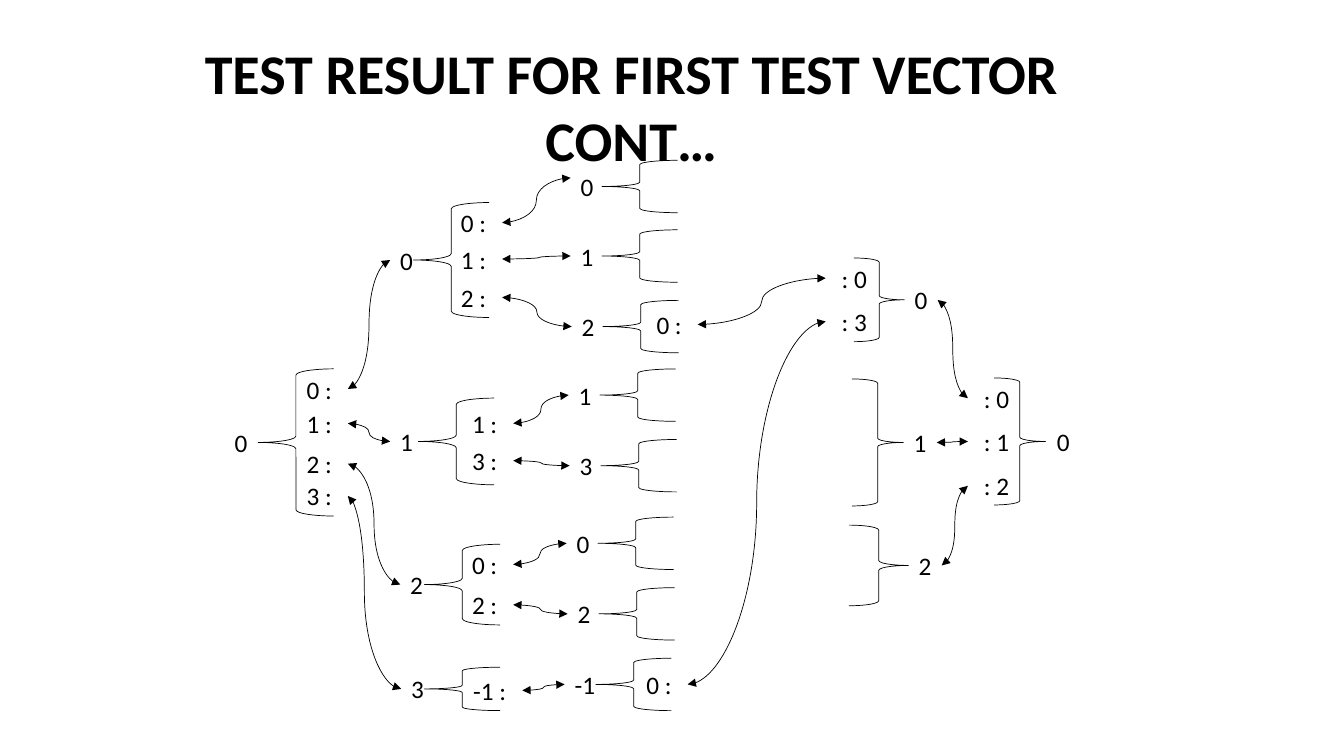
from collections import namedtuple

from lxml import etree
from pptx import Presentation
from pptx import util as u
from pptx.dml.color import RGBColor
from pptx.enum import shapes, text
from pptx.oxml.ns import qn

COLOURS = {"ink": "000000", "background": "FFFFFF"}
FONT = "Calibri"
LABEL_HEIGHT = 0.4
MINUS_WIDTH = 0.08

Node = namedtuple("Node", "label slots")


class TreeSlide:
    def __init__(self, presentation):
        self.slide = presentation.slides.add_slide(presentation.slide_layouts[5])
        self.ink = RGBColor.from_string(COLOURS["ink"])
        fill = self.slide.background.fill
        fill.solid()
        fill.fore_color.rgb = RGBColor.from_string(COLOURS["background"])

    def set_text(self, shape, words, size, align, bold=False):
        frame = shape.text_frame
        frame.auto_size = text.MSO_AUTO_SIZE.NONE
        frame.vertical_anchor = text.MSO_ANCHOR.TOP
        frame.text = words
        paragraph = frame.paragraphs[0]
        paragraph.alignment = align
        font = paragraph.font
        font.name, font.size, font.bold = FONT, u.Pt(size), bold
        font.color.rgb = self.ink

    def title(self, words, left, top, width, height):
        shape = self.slide.shapes.title
        shape.left, shape.top = u.Inches(left), u.Inches(top)
        shape.width, shape.height = u.Inches(width), u.Inches(height)
        self.set_text(shape, words, 40, text.PP_ALIGN.CENTER, bold=True)
        shape.text_frame.word_wrap = True

    def label(self, words, left, top, width, height=LABEL_HEIGHT,
              align=text.PP_ALIGN.CENTER):
        if "-" in words:
            width += MINUS_WIDTH
        box = self.slide.shapes.add_textbox(
            u.Inches(left), u.Inches(top), u.Inches(width), u.Inches(height))
        self.set_text(box, words, 18, align)
        box.text_frame.word_wrap = False
        return box

    def brace(self, kind, left, top, width, height):
        shape = self.slide.shapes.add_shape(
            kind, u.Inches(left), u.Inches(top), u.Inches(width), u.Inches(height))
        shape.shadow.inherit = False
        shape.fill.background()
        shape.line.color.rgb = self.ink
        shape.line.width = u.Pt(0.5)

    def node(self, name, name_left, brace, slots="", slot_left=0, slot_tops=(),
             opens_right=True, name_height=LABEL_HEIGHT):
        """Draw a brace, its name centred on the brace's point, and its slots."""
        left, top, width, height = brace
        if opens_right:
            kind, pattern = shapes.MSO_SHAPE.LEFT_BRACE, "{} : "
            align = text.PP_ALIGN.LEFT
        else:
            kind, pattern = shapes.MSO_SHAPE.RIGHT_BRACE, " : {}"
            align = text.PP_ALIGN.CENTER
        self.brace(kind, left, top, width, height)
        name_top = top + height / 2 - LABEL_HEIGHT / 2
        name_box = self.label(name, name_left, name_top, 0.33, name_height, align)
        return Node(name_box, [
            self.label(pattern.format(slot), slot_left, slot_top, 0.51)
            for slot, slot_top in zip(slots.split(), slot_tops)])

    def link(self, start, end, bend=None):
        """Join the right side of start to the left side of end; bend is a share of the width."""
        connector = self.slide.shapes.add_connector(
            shapes.MSO_CONNECTOR.CURVE, 0, 0, 0, 0)
        connector.begin_connect(start, 3)
        connector.end_connect(end, 1)
        connector.line.color.rgb = self.ink
        connector.line.width = u.Pt(0.5)
        properties = connector.element.spPr
        line = properties.find(qn("a:ln"))
        for end_tag in ("a:headEnd", "a:tailEnd"):
            etree.SubElement(line, qn(end_tag), type="triangle")
        etree.SubElement(properties, qn("a:effectLst"))
        if bend is not None:
            geometry = properties.find(qn("a:prstGeom"))
            adjustments = geometry.find(qn("a:avLst"))
            if adjustments is None:
                adjustments = etree.SubElement(geometry, qn("a:avLst"))
            etree.SubElement(adjustments, qn("a:gd"), name="adj1",
                             fmla=f"val {round(bend * 100000)}")


def main():
    presentation = Presentation()
    presentation.slide_width = u.Inches(13.33)
    presentation.slide_height = u.Inches(7.5)
    tree = TreeSlide(presentation)
    tree.title("TEST RESULT FOR FIRST TEST VECTOR CONT…", 1.22, 0.33, 10.08, 0.77)

    root = tree.node("0", 2.23, (2.56, 3.66, 0.75, 1.46),
                     "0 1 2 3", 2.94, (3.66, 4, 4.4, 4.72))
    branches = [tree.node(*branch) for branch in (
        ("0", 3.87, (4.1, 2.01, 0.75, 1.14), "0 1 2", 4.47, (2.01, 2.37, 2.75)),
        ("1", 3.87, (4.15, 3.95, 0.75, 0.86), "1 3", 4.58, (4, 4.37)),
        ("2", 3.97, (4.21, 5.4, 0.75, 0.8), "0 2", 4.58, (5.4, 5.8)),
        ("3", 3.98, (4.21, 6.62, 0.75, 0.43), "-1", 4.59, (6.65,)),
    )]

    leaves = []
    for name, left, top, *slot in (
        ("0", 5.97, 1.59),
        ("1", 5.97, 2.28),
        ("2", 5.98, 2.98, "0", 6.41, (3.02,)),
        ("1", 5.95, 3.66),
        ("3", 5.96, 4.36),
        ("0", 5.93, 5.13),
        ("2", 5.94, 5.83),
        ("-1", 5.91, 6.53, "0", 6.31, (6.59,)),
    ):
        name_height = LABEL_HEIGHT if leaves else 0.23
        leaves.append(tree.node(name, left - 0.31, (left, top, 0.75, 0.52), *slot,
                                name_height=name_height))

    right_root = tree.node("0", 10.38, (9.86, 3.75, 0.51, 1.26),
                           "0 1 2", 9.6, (3.75, 4.18, 4.62), opens_right=False)
    right_branches = [tree.node(*branch, opens_right=False) for branch in (
        ("0", 8.97, (8.47, 2.56, 0.5, 0.83), "0 3", 8.19, (2.56, 2.99)),
        ("1", 8.96, (8.45, 3.76, 0.51, 1.26)),
        ("2", 9.01, (8.42, 5.21, 0.59, 0.8)),
    )]

    for slot, branch, bend in zip(root.slots, branches, (None, None, None, 0.31)):
        tree.link(slot, branch.label, bend)
    branch_slots = [slot for branch in branches for slot in branch.slots]
    for index, (slot, leaf) in enumerate(zip(branch_slots, leaves)):
        tree.link(slot, leaf.label, 0.54 if index == 1 else None)
    leaf_slots = [slot for leaf in leaves for slot in leaf.slots]
    for leaf_slot, right_slot in zip(leaf_slots, right_branches[0].slots):
        tree.link(leaf_slot, right_slot)
    for branch, slot in zip(right_branches, right_root.slots):
        tree.link(branch.label, slot)

    presentation.save("out.pptx")


if __name__ == "__main__":
    main()
